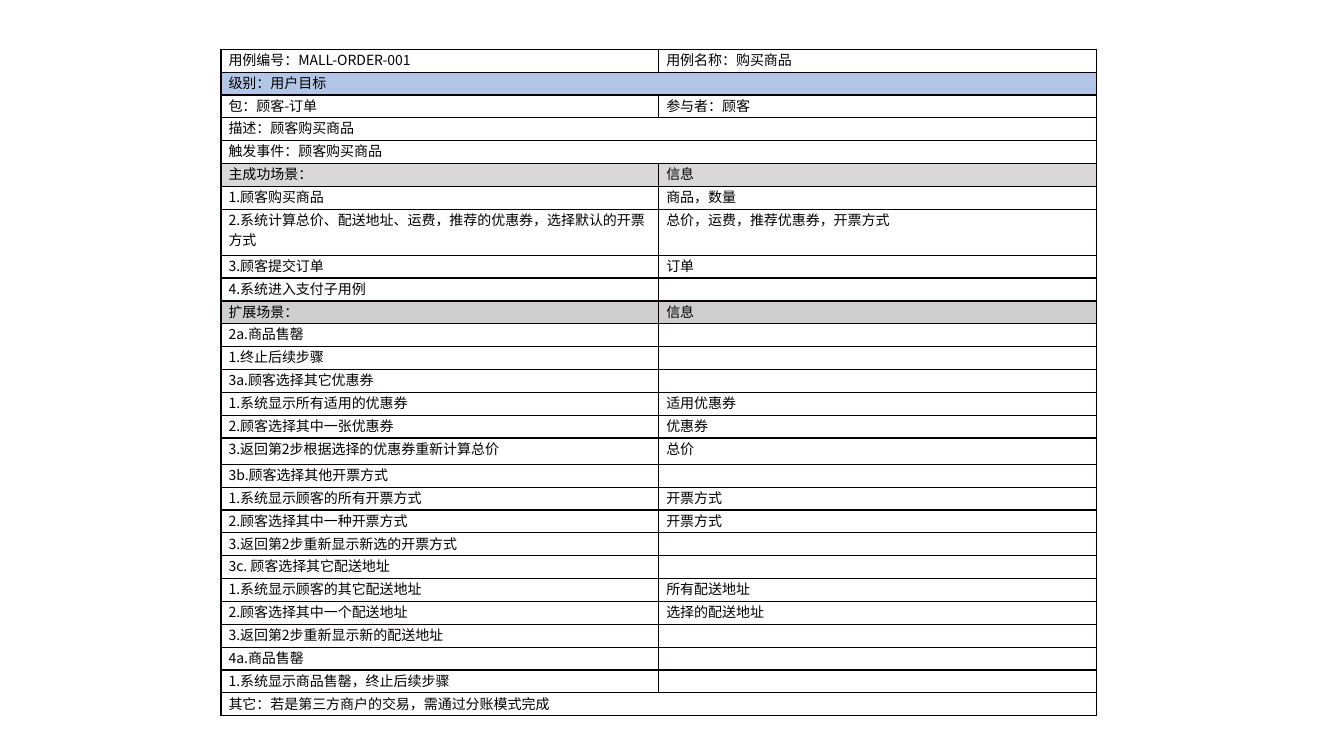
import pptx
import pptx.dml.color
import pptx.oxml
import pptx.oxml.ns
import pptx.util

Pt = pptx.util.Pt

COLORS = {
    "text": "000000",
    "border": "080000",
    "plain": "FFFFFF",
    "level": "B4C6E7",
    "main": "D8D8D8",
    "extension": "CFCECE",
}

ROW_HEIGHT = 16.34
SPECIAL_HEIGHTS = {7: 32.8, 16: 18.75}
COLUMN_WIDTH = 312.7

# A row with a single text spans both columns.
ROWS = [
    ("plain", "用例编号：MALL-ORDER-001", "用例名称：购买商品"),
    ("level", "级别：用户目标"),
    ("plain", "包：顾客-订单", "参与者：顾客"),
    ("plain", "描述：顾客购买商品"),
    ("plain", "触发事件：顾客购买商品"),
    ("main", "主成功场景：", "信息"),
    ("plain", "1.顾客购买商品", "商品，数量"),
    ("plain", "2.系统计算总价、配送地址、运费，推荐的优惠券，选择默认的开票方式",
     "总价，运费，推荐优惠券，开票方式"),
    ("plain", "3.顾客提交订单", "订单"),
    ("plain", "4.系统进入支付子用例", ""),
    ("extension", "扩展场景：", "信息"),
    ("plain", "2a.商品售罄", ""),
    ("plain", "1.终止后续步骤", ""),
    ("plain", "3a.顾客选择其它优惠券", ""),
    ("plain", "1.系统显示所有适用的优惠券", "适用优惠券"),
    ("plain", "2.顾客选择其中一张优惠券", "优惠券"),
    ("plain", "3.返回第2步根据选择的优惠券重新计算总价", "总价"),
    ("plain", "3b.顾客选择其他开票方式", ""),
    ("plain", "1.系统显示顾客的所有开票方式", "开票方式"),
    ("plain", "2.顾客选择其中一种开票方式", "开票方式"),
    ("plain", "3.返回第2步重新显示新选的开票方式", ""),
    ("plain", "3c. 顾客选择其它配送地址", ""),
    ("plain", "1.系统显示顾客的其它配送地址", "所有配送地址"),
    ("plain", "2.顾客选择其中一个配送地址", "选择的配送地址"),
    ("plain", "3.返回第2步重新显示新的配送地址", ""),
    ("plain", "4a.商品售罄", ""),
    ("plain", "1.系统显示商品售罄，终止后续步骤", ""),
    ("plain", "其它：若是第三方商户的交易，需通过分账模式完成"),
]


def color(name):
    return pptx.dml.color.RGBColor.from_string(COLORS[name])


def add_element(parent, tag, **attributes):
    element = pptx.oxml.parse_xml(f"<a:{tag} {pptx.oxml.ns.nsdecls('a')}/>")
    for name, value in attributes.items():
        element.set(name, str(value))
    parent.append(element)
    return element


class UseCaseSlide:
    font_name = "Noto Sans CJK SC"
    font_size = Pt(10)
    border_width = Pt(1)

    def __init__(self, deck):
        self.slide = deck.slides.add_slide(deck.slide_layouts[6])

    def add_table(self, left, top, rows):
        heights = [SPECIAL_HEIGHTS.get(index, ROW_HEIGHT) for index in range(len(rows))]
        frame = self.slide.shapes.add_table(
            len(rows), 2, Pt(left), Pt(top), Pt(2 * COLUMN_WIDTH), Pt(sum(heights)))
        table = frame.table
        table.first_row = table.horz_banding = False
        for column in table.columns:
            column.width = Pt(COLUMN_WIDTH)
        for index, (fill, *texts) in enumerate(rows):
            table.rows[index].height = Pt(heights[index])
            cells = list(table.rows[index].cells)
            if len(texts) == 1:
                cells[0].merge(cells[1])
                texts.append("")
            for cell, text in zip(cells, texts):
                self.format_cell(cell, text, fill)

    def format_cell(self, cell, text, fill):
        cell.margin_left = cell.margin_right = Pt(5.4)
        cell.margin_top = cell.margin_bottom = Pt(0)
        self.add_borders(cell)
        cell.fill.solid()
        cell.fill.fore_color.rgb = color(fill)
        para = cell.text_frame.paragraphs[0]
        para.text = text
        para.font.size = self.font_size
        para.font.color.rgb = color("text")
        para.font.name = self.font_name
        add_element(para.font._element, "ea", typeface=self.font_name)
        if not text:
            # The end mark keeps an empty row from growing to the default size.
            add_element(para._p, "endParaRPr", sz=int(self.font_size.pt * 100))

    def add_borders(self, cell):
        properties = cell._tc.get_or_add_tcPr()
        for side in ("lnL", "lnR", "lnT", "lnB"):
            line = add_element(properties, side, w=int(self.border_width))
            add_element(add_element(line, "solidFill"), "srgbClr", val=COLORS["border"])


def main():
    deck = pptx.Presentation()
    deck.slide_width, deck.slide_height = Pt(960), Pt(540)
    UseCaseSlide(deck).add_table(157.85, 35.2, ROWS)
    deck.save("out.pptx")


if __name__ == "__main__":
    main()
